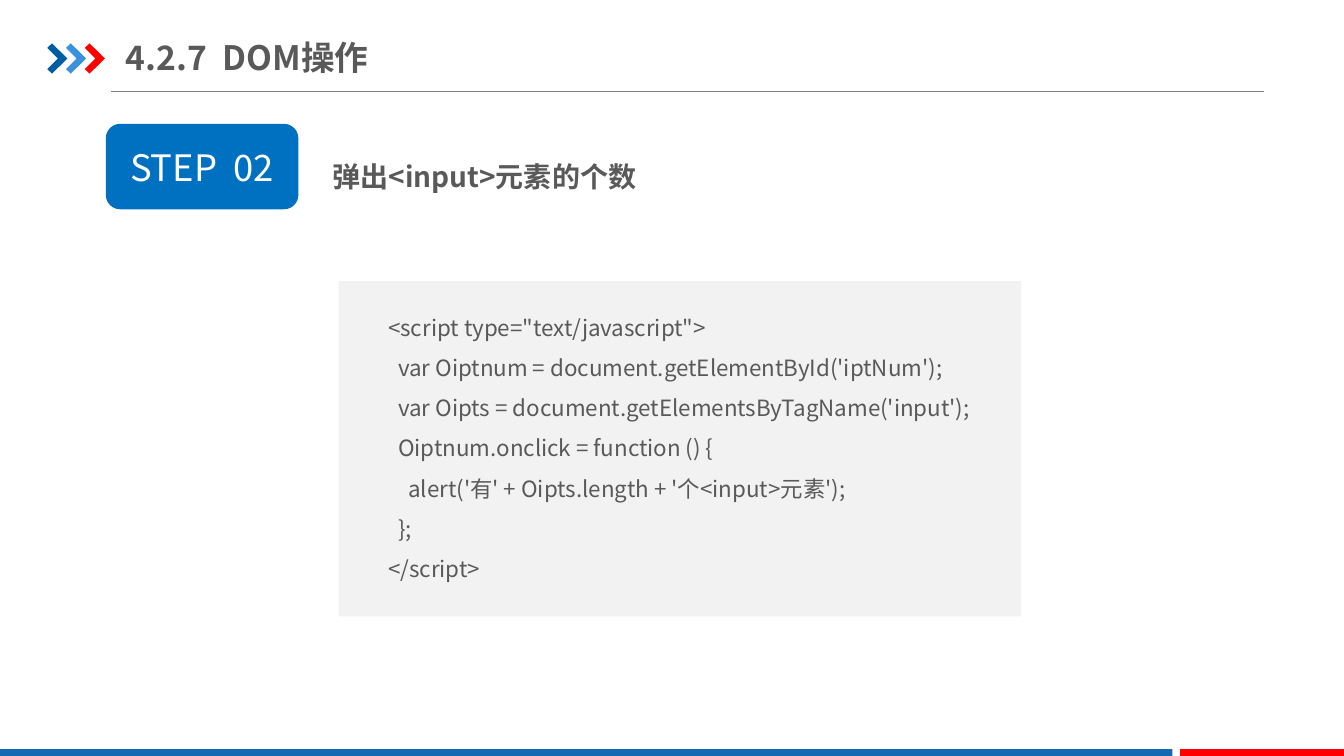
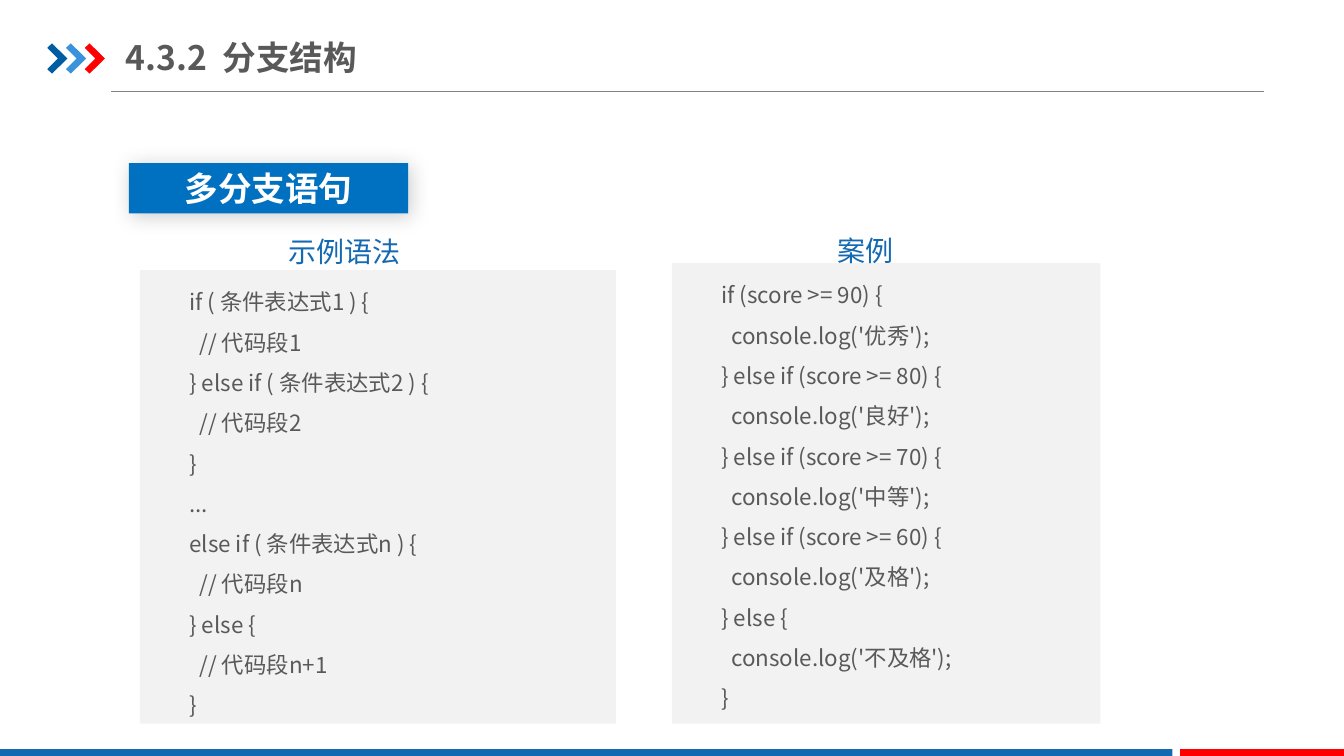
"""Build two JavaScript lesson slides that share one decorated layout."""
from lxml.etree import SubElement
from pptx import Presentation
from pptx.dml.color import RGBColor
from pptx.enum.shapes import MSO_CONNECTOR as CONN, MSO_SHAPE as SHAPE
from pptx.enum.text import MSO_ANCHOR as ANCHOR, MSO_AUTO_SIZE as AUTO, PP_ALIGN as ALIGN
from pptx.oxml.ns import qn
from pptx.util import Pt

FONT = "Noto Sans CJK SC"
WHITE = RGBColor(0xFF, 0xFF, 0xFF)
TEXT = RGBColor(0x59, 0x59, 0x59)
RULE = RGBColor(0x80, 0x80, 0x80)
PANEL = RGBColor(0xF2, 0xF2, 0xF2)
BADGE = RGBColor(0x00, 0x70, 0xC0)
BLUE = RGBColor(0x13, 0x69, 0xB2)
NAVY = RGBColor(0x00, 0x5D, 0xA2)
SKY = RGBColor(0x39, 0x92, 0xDB)
RED = RGBColor(0xFF, 0x00, 0x00)

TITLE_FMT = {"size": Pt(24), "bold": True}
STEP_FMT = {"size": Pt(26), "bold": False}
HEADING_FMT = {"size": Pt(20), "bold": True}
CAPTION_FMT = {"size": Pt(20), "bold": False}
CODE_FMT = {"size": Pt(16), "bold": False}
INDENT = 3.6
CHEVRON = ((0, 3.2), (3.4, 0), (14.4, 10.8), (3.4, 21.6), (0, 18.4), (7.6, 10.8))

COUNT_CODE = """<script type="text/javascript">
  var Oiptnum = document.getElementById('iptNum');
  var Oipts = document.getElementsByTagName('input');
  Oiptnum.onclick = function () {
    alert('有' + Oipts.length + '个<input>元素');
  };
</script>"""
SYNTAX_CODE = """if ( 条件表达式1 ) {
  // 代码段1
} else if ( 条件表达式2 ) {
  // 代码段2
}
...
else if ( 条件表达式n ) {
  // 代码段n
} else {
  // 代码段n+1
}"""
SCORE_CODE = """if (score >= 90) {
  console.log('优秀');
} else if (score >= 80) {
  console.log('良好');
} else if (score >= 70) {
  console.log('中等');
} else if (score >= 60) {
  console.log('及格');
} else {
  console.log('不及格');
}"""


def set_frame(sp, anchor=ANCHOR.TOP, margins=(7.2, 3.6, 7.2, 3.6)):
    """Set wrapping, anchor and left, top, right, bottom margins."""
    tf = sp.text_frame
    frame = {"word_wrap": True, "auto_size": AUTO.NONE, "vertical_anchor": anchor}
    sides = ("margin_left", "margin_top", "margin_right", "margin_bottom")
    frame.update(zip(sides, map(Pt, margins)))
    for name, value in frame.items():
        setattr(tf, name, value)


def write(sp, text, fmt, color=TEXT, align=ALIGN.LEFT, spacing=1.0):
    """Write lines as paragraphs, turning leading spaces into indents."""
    tf = sp.text_frame
    for i, line in enumerate(text.split("\n")):
        p = tf.add_paragraph() if i else tf.paragraphs[0]
        p.alignment, p.line_spacing = align, spacing
        body = line.lstrip()
        if body != line:
            margin = Pt(INDENT * (len(line) - len(body)))
            p._p.get_or_add_pPr().set("marL", str(margin))
        r = p.add_run()
        r.text = body
        for name, value in {**fmt, "name": FONT}.items():
            setattr(r.font, name, value)
        r.font.color.rgb = color
        SubElement(r._r.get_or_add_rPr(), qn("a:ea"), typeface=FONT)


def paint(sp, color):
    """Give a shape a flat fill without line or shadow."""
    sp.shadow.inherit = False
    sp.fill.solid()
    sp.fill.fore_color.rgb = color
    sp.line.fill.background()
    return sp


def add_block(slide, box, color, shape=SHAPE.RECTANGLE):
    """Add a flat preset shape."""
    return paint(slide.shapes.add_shape(shape, *map(Pt, box)), color)


def add_label(slide, box, text, fmt, color=TEXT, align=ALIGN.LEFT):
    """Add a text box with one spaced line."""
    sp = slide.shapes.add_textbox(*map(Pt, box))
    set_frame(sp)
    write(sp, text, fmt, color, align, 1.5)


def add_badge(slide, box, text, fmt, shape=SHAPE.RECTANGLE):
    """Add a blue shape with centred white text."""
    sp = add_block(slide, box, BADGE, shape)
    set_frame(sp, ANCHOR.MIDDLE)
    write(sp, text, fmt, WHITE, ALIGN.CENTER)
    return sp


def add_code(slide, box, code, top=3.6):
    """Add a grey panel holding a code listing."""
    sp = add_block(slide, box, PANEL)
    set_frame(sp, margins=(35.3, top, 0, 0))
    write(sp, code, CODE_FMT, spacing=1.5)


def add_shadow(sp):
    """Add a soft black shadow at the lower right."""
    effects = sp._element.spPr.find(qn("a:effectLst"))
    shadow = SubElement(effects, qn("a:outerShdw"), blurRad=str(Pt(15)),
                        dist=str(Pt(3)), dir="2700000", algn="tl", rotWithShape="0")
    black = SubElement(shadow, qn("a:srgbClr"), val="000000")
    SubElement(black, qn("a:alpha"), val="20000")


def add_chevron(slide, left, top, color):
    """Add one title chevron."""
    start, *rest = [(Pt(left + x), Pt(top + y)) for x, y in CHEVRON]
    builder = slide.shapes.build_freeform(*start)
    builder.add_line_segments(rest, close=True)
    return paint(builder.convert_to_shape(), color)


def add_rule(slide, left, right, y):
    """Add the thin line under the title."""
    line = slide.shapes.add_connector(CONN.STRAIGHT, Pt(left), Pt(y), Pt(right), Pt(y))
    line.line.color.rgb = RULE
    line.line.width = Pt(0.75)
    SubElement(line._element.spPr, qn("a:effectLst"))
    return line


def decorate_layout(layout, slide):
    """Place the title frame, rule, chevrons and footer bands on the layout."""
    title = layout.placeholders[0]
    title.left, title.top, title.width, title.height = map(Pt, (90, 21, 307, 39.6))
    set_frame(title, ANCHOR.MIDDLE, (0, 5, 0, 5))
    parts = [add_rule(slide, 79.2, 903, 65.5)]
    parts += [add_chevron(slide, 33.8 + 13.4 * i, 31, color)
              for i, color in enumerate((NAVY, SKY, RED))]
    parts += [add_block(slide, (0, 535, 837.4, 6.5), BLUE),
              add_block(slide, (843, 535, 117, 6.5), RED)]
    for number, sp in enumerate(parts, 100):
        sp.element.xpath(".//p:cNvPr")[0].set("id", str(number))
        layout.shapes.element.append(sp.element)


def set_title(slide, text):
    """Fill the title placeholder."""
    write(slide.shapes.title, text, TITLE_FMT)


def build_dom_slide(slide):
    """Fill the DOM step slide."""
    set_title(slide, "4.2.7  DOM操作")
    add_badge(slide, (75.6, 88.5, 137.5, 61), "STEP  02", STEP_FMT, SHAPE.ROUNDED_RECTANGLE)
    add_label(slide, (230.4, 98.6, 590, 39.6), "弹出<input>元素的个数", HEADING_FMT)
    add_code(slide, (242, 200.8, 487.4, 239.5), COUNT_CODE, 13.7)


def build_branch_slide(slide):
    """Fill the branch statement slide."""
    set_title(slide, "4.3.2  分支结构")
    add_shadow(add_badge(slide, (92, 116.5, 199.5, 36), "多分支语句", TITLE_FMT))
    add_code(slide, (100, 193, 340, 324), SYNTAX_CODE)
    add_code(slide, (480, 188, 306, 329), SCORE_CODE)
    for left, top, text in ((175.7, 152, "示例语法"), (548, 151.3, "案例")):
        add_label(slide, (left, top, 141, 42), text, CAPTION_FMT, BLUE, ALIGN.CENTER)


def main():
    """Create and save the presentation."""
    prs = Presentation()
    prs.slide_width, prs.slide_height = Pt(960), Pt(540)
    layout = prs.slide_layouts[5]
    dom, branch = (prs.slides.add_slide(layout) for _ in range(2))
    decorate_layout(layout, dom)
    build_dom_slide(dom)
    build_branch_slide(branch)
    prs.save("out.pptx")


if __name__ == "__main__":
    main()
